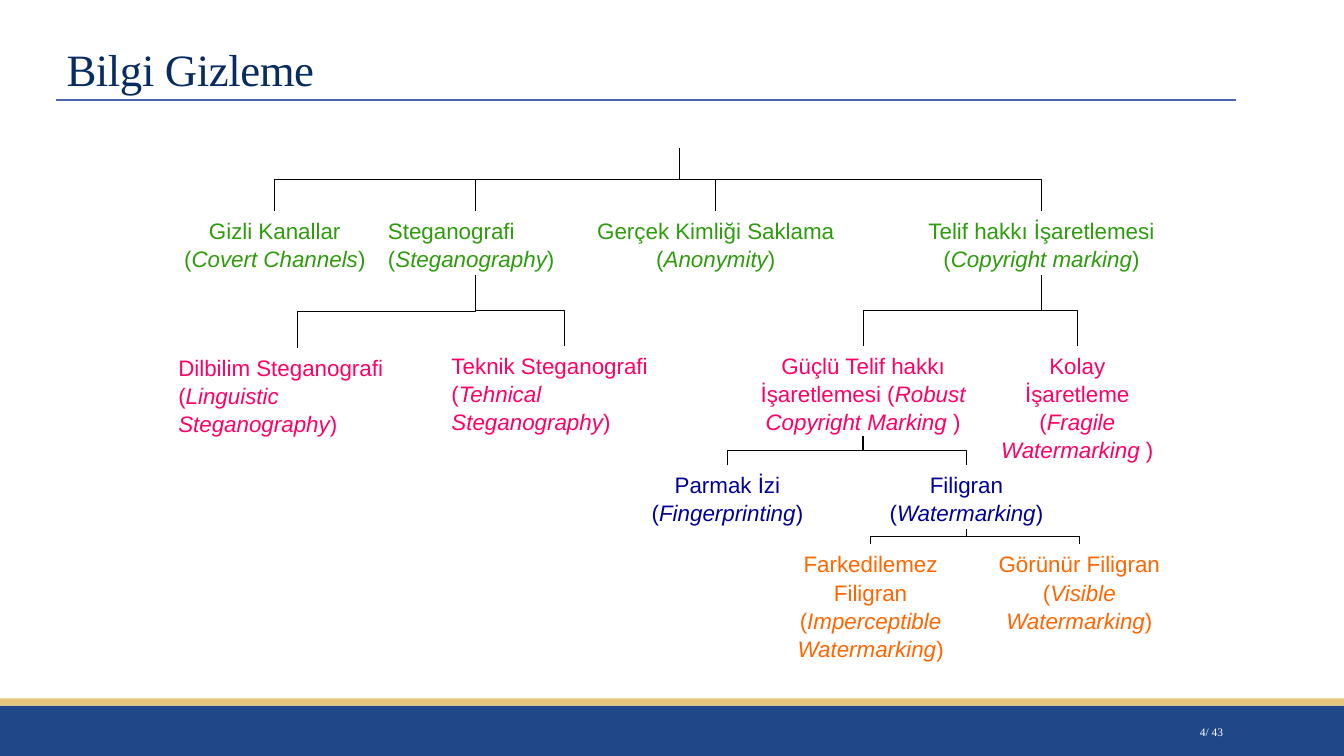
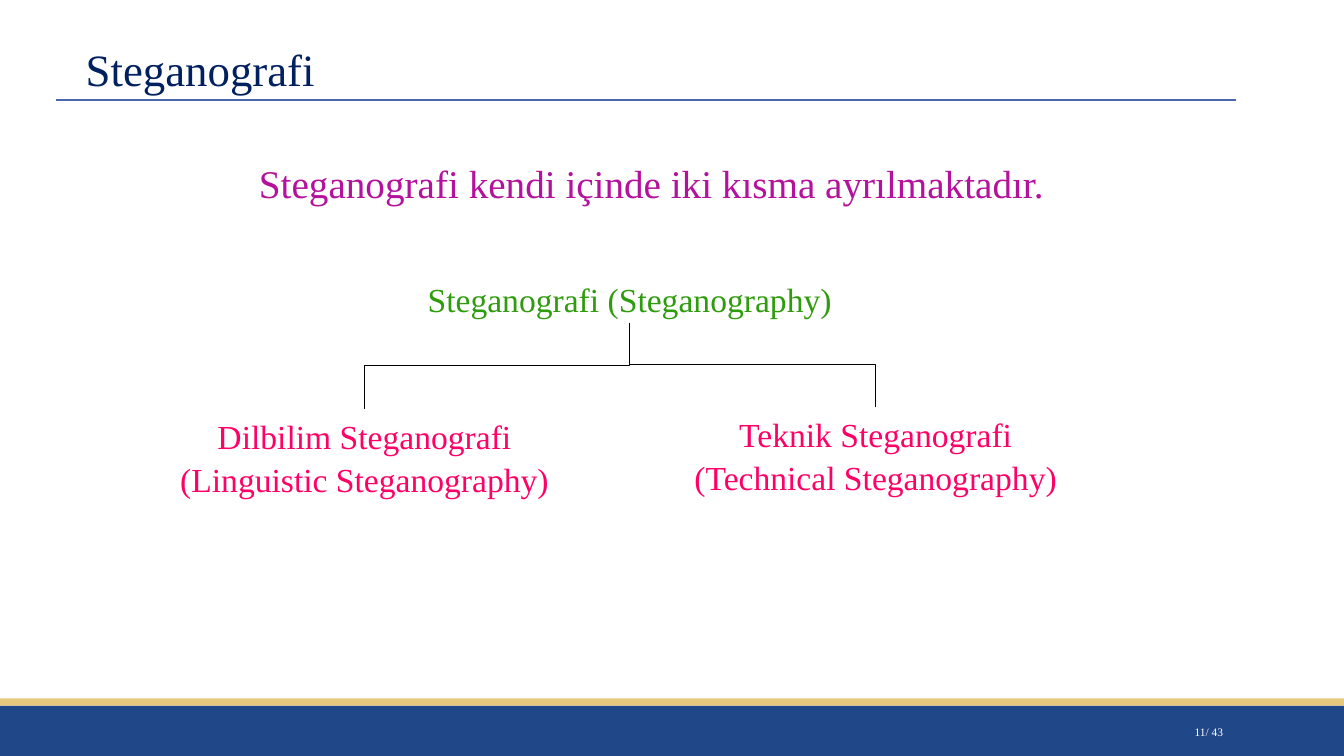
from lxml import etree
from pptx import Presentation
from pptx.dml.color import RGBColor
from pptx.enum.shapes import MSO_CONNECTOR, MSO_SHAPE
from pptx.enum.text import MSO_ANCHOR, MSO_AUTO_SIZE, PP_ALIGN
from pptx.oxml.ns import qn
from pptx.util import Inches, Pt

RECTANGLE = MSO_SHAPE.RECTANGLE
STRAIGHT, ELBOW = MSO_CONNECTOR.STRAIGHT, MSO_CONNECTOR.ELBOW
LEFT, CENTER, RIGHT = PP_ALIGN.LEFT, PP_ALIGN.CENTER, PP_ALIGN.RIGHT
TOP, MIDDLE, BOTTOM = MSO_ANCHOR.TOP, MSO_ANCHOR.MIDDLE, MSO_ANCHOR.BOTTOM

SANS, SERIF = "Arial", "Times New Roman"
NAVY, GOLD, BLUE, GREY = "204788", "E5C77D", "4A66AC", "808080"
GREEN, PINK, INDIGO, ORANGE = "2E9C0C", "FF0066", "000099", "FF6600"
PURPLE, BLACK, WHITE = "B4129D", "000000", "FFFFFF"
WIDTH, HEIGHT = 13.33, 7.5
TITLE_ONLY = 5


def rgb(value):
    return RGBColor.from_string(value)


def write(frame, parts, size, font, color, align=LEFT, anchor=TOP, spacing=1.0, wrap=True):
    """Fill a text frame with one paragraph of (text, italic) parts."""
    settings = {"word_wrap": wrap, "auto_size": MSO_AUTO_SIZE.NONE, "vertical_anchor": anchor}
    for name, value in settings.items():
        setattr(frame, name, value)
    paragraph = frame.paragraphs[0]
    paragraph.alignment = align
    paragraph.line_spacing = spacing
    for text, italic in parts:
        run = paragraph.add_run()
        run.text = text
        for name, value in {"size": Pt(size), "name": font, "italic": italic}.items():
            setattr(run.font, name, value)
        run.font.color.rgb = rgb(color)


def add_text(slide, box, parts, size, font, color, **options):
    label = slide.shapes.add_textbox(*map(Inches, box))
    write(label.text_frame, parts, size, font, color, **options)
    return label


def add_band(slide, top, height, color):
    band = slide.shapes.add_shape(
        RECTANGLE, 0, Inches(top), Inches(WIDTH), Inches(height))
    band.shadow.inherit = False
    band.fill.solid()
    band.fill.fore_color.rgb = rgb(color)
    band.line.fill.background()
    return band


def add_line(slide, kind, start, end, color, width):
    line = slide.shapes.add_connector(kind, *map(round, (*start, *end)))
    line.line.color.rgb = rgb(color)
    line.line.width = Pt(width)
    etree.SubElement(line.element.spPr, qn("a:effectLst"))
    return line


def add_frame(slide):
    """Draw the bands and title rules and move them to the slide's layout."""
    parts = [add_band(slide, 7, 0.5, NAVY), add_band(slide, 6.93, 0.07, GOLD)]
    for y, right, color, width in ((1, 12.1, GREY, 0.5), (0.99, 12.26, BLUE, 1.5)):
        ends = (Inches(0.56), Inches(y)), (Inches(right), Inches(y))
        parts.append(add_line(slide, STRAIGHT, *ends, color, width))
    for part in parts:
        slide.slide_layout.shapes.element.append(part.element)


def add_heading(slide, text, left, color, tracking=0):
    """Fill the title; tracking is in hundredths of a point."""
    title = slide.shapes.title
    place = {"left": left, "top": 0.31, "width": 12.2 - left, "height": 0.69}
    for name, value in place.items():
        setattr(title, name, Inches(value))
    write(title.text_frame, [(text, False)], 32, SERIF, color, anchor=BOTTOM, spacing=0.85)
    for run in title.text_frame.paragraphs[0].runs:
        run.font._element.set("spc", str(tracking))


def add_page_number(slide, number):
    add_text(slide, (10.83, 7.06, 1.4, 0.4), [(f"{number}/ 43", False)], 8.2, SERIF, WHITE,
             align=RIGHT, anchor=MIDDLE)


def add_term(slide, box, name, english, color, align=CENTER, close=")"):
    """Add a tree node: a name with its English term in italics."""
    parts = [(f"{name} (", False), (english, True), (close, False)]
    return add_text(slide, box, parts, 16, SANS, color, align=align, spacing=1.05)


def bottom_of(node):
    return node.left + node.width / 2, node.top + node.height


def add_branches(slide, start, children):
    """Join a point to the top of each child by a down-across-down elbow."""
    x, y = start
    for child in children:
        end_x, end_y = child.left + child.width / 2, child.top
        mid_x, mid_y = (x + end_x) / 2, (y + end_y) / 2
        half_drop, half_span = (end_y - y) / 2, abs(end_x - x) / 2
        # The elbow lies on its side first; a quarter turn sets it upright.
        side, turn = (1, 270) if end_x > x else (-1, 90)
        branch = add_line(slide, ELBOW,
                          (mid_x + side * half_drop, mid_y - half_span),
                          (mid_x - side * half_drop, mid_y + half_span), BLACK, 0.75)
        branch.element.spPr.find(qn("a:xfrm")).set("rot", str(turn * 60000))


def build_hiding_tree(slide):
    def row(top, color, *terms):
        return [add_term(slide, (left, top, width, height), name, english, color, **options)
                for left, width, height, name, english, options in terms]

    flush, spaced = {"align": LEFT}, {"close": " )"}
    fields = row(
        2.09, GREEN,
        (1.7, 2.05, 0.64, "Gizli Kanallar", "Covert Channels", {}),
        (3.75, 1.93, 0.64, "Steganografi", "Steganography", flush),
        (5.8, 2.6, 0.64, "Gerçek Kimliği Saklama", "Anonymity", {}),
        (9.03, 2.6, 0.64, "Telif hakkı İşaretlemesi", "Copyright marking", {}))
    linguistic = row(
        3.45, PINK,
        (1.67, 2.56, 0.9, "Dilbilim Steganografi", "Linguistic Steganography", flush))
    technical, robust, fragile = row(
        3.43, PINK,
        (4.38, 2.44, 1.3, "Teknik Steganografi", "Tehnical Steganography", flush),
        (7.3, 2.52, 0.9, "Güçlü Telif hakkı İşaretlemesi", "Robust Copyright Marking", spaced),
        (9.82, 1.73, 1.57, "Kolay İşaretleme", "Fragile Watermarking", spaced))
    markings = row(
        4.61, INDIGO,
        (6.11, 2.21, 0.64, "Parmak İzi", "Fingerprinting", {}),
        (8.48, 2.21, 0.64, "Filigran", "Watermarking", {}))
    watermarks = row(
        5.4, ORANGE,
        (7.77, 1.73, 1.17, "Farkedilemez Filigran", "Imperceptible Watermarking", {}),
        (9.74, 1.93, 0.9, "Görünür Filigran", "Visible Watermarking", {}))

    add_branches(slide, (Inches(6.74), Inches(1.47)), fields)
    for parent, children in ((fields[1], [*linguistic, technical]),
                             (fields[3], [robust, fragile]),
                             (robust, markings),
                             (markings[1], watermarks)):
        add_branches(slide, bottom_of(parent), children)


def build_steganography_split(slide):
    add_text(slide, (2.47, 1.51, 8.01, 0.57),
             [("Steganografi kendi içinde iki kısma ayrılmaktadır.", False)],
             28, SERIF, PURPLE, spacing=1.05, wrap=False)
    root, *kinds = [
        add_text(slide, box, [(text, False)], 24, SERIF, color, align=CENTER, spacing=1.05)
        for box, text, color in (
            ((4.12, 2.7, 4.25, 0.5), "Steganografi (Steganography)", GREEN),
            ((1.37, 4.06, 4.49, 0.91), "Dilbilim Steganografi (Linguistic Steganography)", PINK),
            ((6.56, 4.04, 4.25, 0.91), "Teknik Steganografi (Technical Steganography)", PINK))]
    add_branches(slide, bottom_of(root), kinds)


def main():
    deck = Presentation()
    deck.slide_width, deck.slide_height = Inches(WIDTH), Inches(HEIGHT)
    layout = deck.slide_layouts[TITLE_ONLY]
    tree, split = [deck.slides.add_slide(layout) for _ in range(2)]
    add_frame(tree)

    add_heading(tree, "Bilgi Gizleme", 0.56, "072C62", tracking=-30)
    build_hiding_tree(tree)
    add_page_number(tree, 4)

    add_heading(split, "Steganografi", 0.75, "002060")
    build_steganography_split(split)
    add_page_number(split, 11)
    deck.save("out.pptx")


if __name__ == "__main__":
    main()
